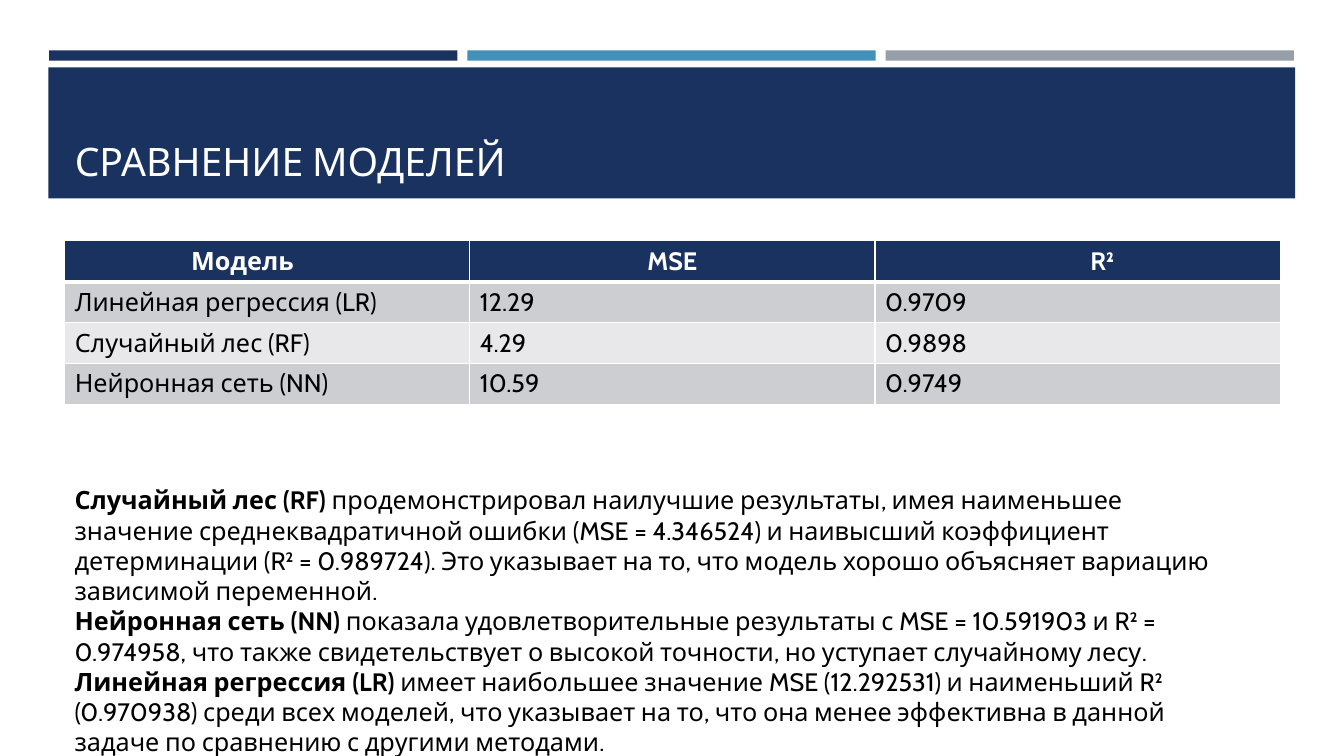
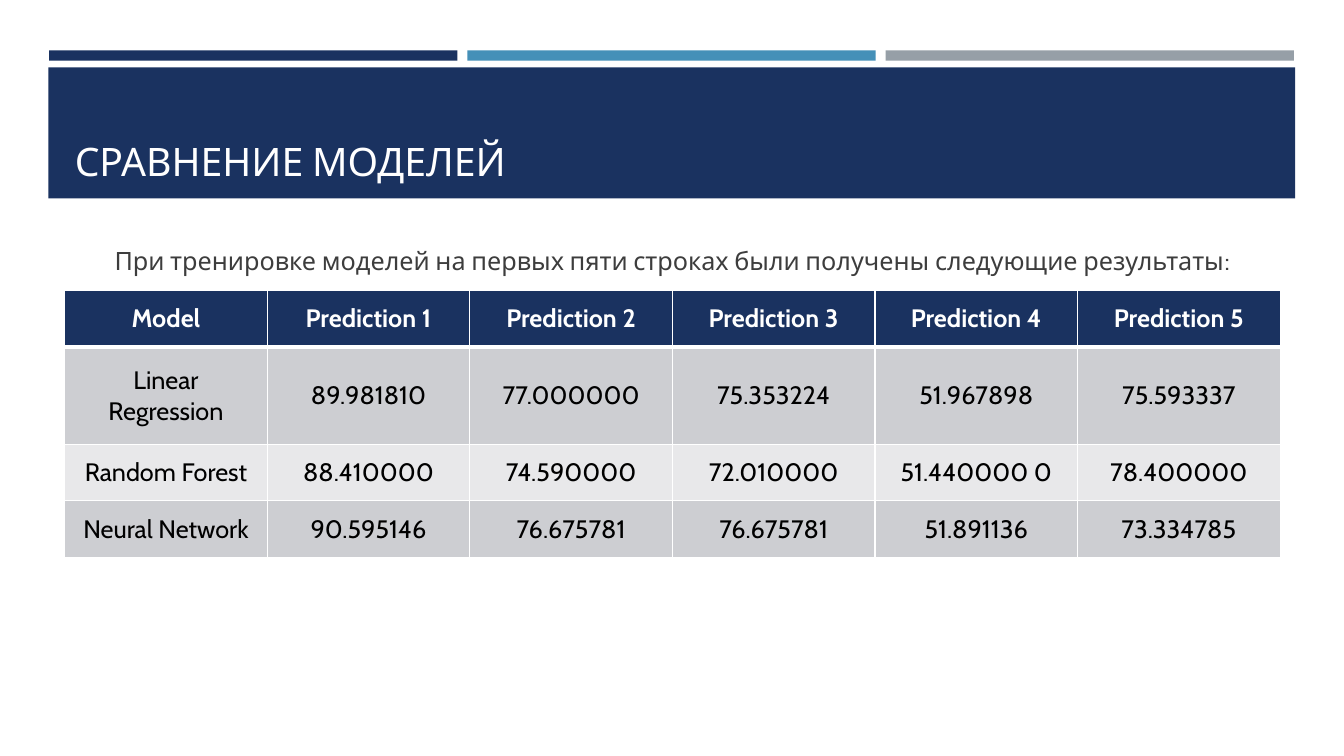
"""Build two slides that compare regression models."""
import dataclasses

import lxml.etree
import pptx
import pptx.dml.color
import pptx.enum.shapes
import pptx.enum.text
import pptx.oxml.ns
import pptx.util

Cm = pptx.util.Cm
ALIGN = pptx.enum.text.PP_ALIGN
ANCHOR = pptx.enum.text.MSO_ANCHOR


@dataclasses.dataclass(frozen=True)
class Theme:
    """Colours, type sizes and shared lengths in centimetres."""
    navy: str = "1A3260"
    blue: str = "4590B8"
    grey: str = "969FA7"
    white: str = "FFFFFF"
    black: str = "000000"
    caption: str = "3D3D3D"
    row_dark: str = "CDCED2"
    row_light: str = "E8E8EA"
    font: str = "Cabin"
    title_size: int = 28
    body_size: int = 18
    left: float = 1.63
    width: float = 30.63


THEME = Theme()
TITLE = "СРАВНЕНИЕ МОДЕЛЕЙ"
SCORES = [
    ["Модель", "MSE", "R²"],
    ["Линейная регрессия (LR)", "12.29", "0.9709"],
    ["Случайный лес (RF)", "4.29", "0.9898"],
    ["Нейронная сеть (NN)", "10.59", "0.9749"],
]
CONCLUSIONS = [
    ("Случайный лес (RF)",
     " продемонстрировал наилучшие результаты, имея наименьшее значение среднеквадратичной ошибки "
     "(MSE = 4.346524) и наивысший коэффициент детерминации (R² = 0.989724). Это указывает на то, "
     "что модель хорошо объясняет вариацию зависимой переменной."),
    ("Нейронная сеть (NN)",
     " показала удовлетворительные результаты с MSE = 10.591903 и R² = 0.974958, что также "
     "свидетельствует о высокой точности, но уступает случайному лесу."),
    ("Линейная регрессия (LR)",
     " имеет наибольшее значение MSE (12.292531) и наименьший R² (0.970938) среди всех моделей, "
     "что указывает на то, что она менее эффективна в данной задаче по сравнению с другими методами."),
]
CAPTION = "При тренировке моделей на первых пяти строках были получены следующие результаты:"
PREDICTIONS = [
    ["Model"] + [f"Prediction {number}" for number in range(1, 6)],
    ["Linear Regression", "89.981810", "77.000000", "75.353224", "51.967898", "75.593337"],
    ["Random Forest", "88.410000", "74.590000", "72.010000", "51.440000 0", "78.400000"],
    ["Neural Network", "90.595146", "76.675781", "76.675781", "51.891136", "73.334785"],
]


def rgb(value):
    """Return a colour object for a hex string."""
    return pptx.dml.color.RGBColor.from_string(value)


def write(paragraph, text, size=THEME.body_size, color=THEME.black, bold=False, align=ALIGN.LEFT):
    """Append one formatted run to a paragraph."""
    paragraph.alignment = align
    run = paragraph.add_run()
    run.text = text
    run.font.name = THEME.font
    run.font.size = pptx.util.Pt(size)
    run.font.bold = bold
    run.font.color.rgb = rgb(color)


def add_band(slide, left, top, width, height, color):
    """Add a plain filled rectangle and return it."""
    shape = slide.shapes.add_shape(pptx.enum.shapes.MSO_SHAPE.RECTANGLE,
                                   Cm(left), Cm(top), Cm(width), Cm(height))
    shape.shadow.inherit = False
    shape.fill.solid()
    shape.fill.fore_color.rgb = rgb(color)
    shape.line.fill.background()
    return shape


def decorate_layout(layout, slide):
    """Draw the shared bands and move them behind the layout's placeholders."""
    bands = [add_band(slide, 1.24 + 10.54 * index, 1.27, 10.29, 0.26, color)
             for index, color in enumerate((THEME.navy, THEME.blue, THEME.grey))]
    bands.append(add_band(slide, 1.22, 1.7, 31.42, 3.3, THEME.navy))
    for index, band in enumerate(bands):
        band.element.xpath(".//p:cNvPr")[0].set("id", str(100 + index))
        layout.shapes.element.insert(2 + index, band.element)


def set_title(slide, text):
    """Place, fill and format the title placeholder."""
    title = slide.shapes.title
    title.left, title.top = Cm(THEME.left), Cm(1.96)
    title.width, title.height = Cm(THEME.width), Cm(2.82)
    frame = title.text_frame
    frame.auto_size = pptx.enum.text.MSO_AUTO_SIZE.NONE
    frame.vertical_anchor = ANCHOR.BOTTOM
    write(frame.paragraphs[0], text, size=THEME.title_size, color=THEME.white)


def add_text_box(slide, top, width, height):
    """Add a wrapping text box at the left margin and return its frame."""
    box = slide.shapes.add_textbox(Cm(THEME.left), Cm(top), Cm(width), Cm(height))
    box.text_frame.word_wrap = True
    return box.text_frame


def set_borders(cell, top, bottom):
    """Give a cell white borders with the stated top and bottom widths."""
    properties = cell._tc.get_or_add_tcPr()
    for side, points in (("L", 1), ("R", 1), ("T", top), ("B", bottom)):
        line = lxml.etree.SubElement(properties, pptx.oxml.ns.qn(f"a:ln{side}"),
                                     w=str(pptx.util.Pt(points)))
        fill = lxml.etree.SubElement(line, pptx.oxml.ns.qn("a:solidFill"))
        lxml.etree.SubElement(fill, pptx.oxml.ns.qn("a:srgbClr"), val=THEME.white)


def add_table(slide, rows, top, heights, body_align):
    """Add a table with a navy header and alternating rows."""
    table = slide.shapes.add_table(len(rows), len(rows[0]), Cm(THEME.left), Cm(top),
                                   Cm(THEME.width), Cm(sum(heights))).table
    for row_index, (values, height) in enumerate(zip(rows, heights)):
        table.rows[row_index].height = Cm(height)
        header = row_index == 0
        stripe = THEME.row_dark if row_index % 2 else THEME.row_light
        for column_index, value in enumerate(values):
            cell = table.cell(row_index, column_index)
            set_borders(cell, top=3 if row_index == 1 else 1, bottom=3 if header else 1)
            cell.fill.solid()
            cell.fill.fore_color.rgb = rgb(THEME.navy if header else stripe)
            cell.vertical_anchor = ANCHOR.MIDDLE
            write(cell.text_frame.paragraphs[0], value, bold=header,
                  color=THEME.white if header else THEME.black,
                  align=ALIGN.CENTER if header else body_align)
    return table


def fill_scores_slide(slide):
    """Show the model scores and the conclusions."""
    set_title(slide, TITLE)
    table = add_table(slide, SCORES, 6.07, [1.03] * 4, ALIGN.LEFT)
    table.cell(0, 0).margin_right = Cm(1.5)
    table.cell(0, 2).margin_left = Cm(1.5)
    frame = add_text_box(slide, 12.09, 29.92, 6.4)
    for index, (model, conclusion) in enumerate(CONCLUSIONS):
        paragraph = frame.add_paragraph() if index else frame.paragraphs[0]
        write(paragraph, model, bold=True)
        write(paragraph, conclusion)


def fill_predictions_slide(slide):
    """Show the predictions for the first five rows."""
    set_title(slide, TITLE)
    frame = add_text_box(slide, 6.05, THEME.width, 1.1)
    write(frame.paragraphs[0], CAPTION, color=THEME.caption, align=ALIGN.CENTER)
    add_table(slide, PREDICTIONS, 7.32, [1.42, 2.46, 1.42, 1.42], ALIGN.CENTER)


def main():
    """Build and save the presentation."""
    presentation = pptx.Presentation()
    presentation.slide_width, presentation.slide_height = Cm(33.87), Cm(19.05)
    layout = presentation.slide_layouts.get_by_name("Title Only")
    scores_slide, predictions_slide = [presentation.slides.add_slide(layout) for _ in range(2)]
    decorate_layout(layout, scores_slide)
    fill_scores_slide(scores_slide)
    fill_predictions_slide(predictions_slide)
    presentation.save("out.pptx")


if __name__ == "__main__":
    main()
